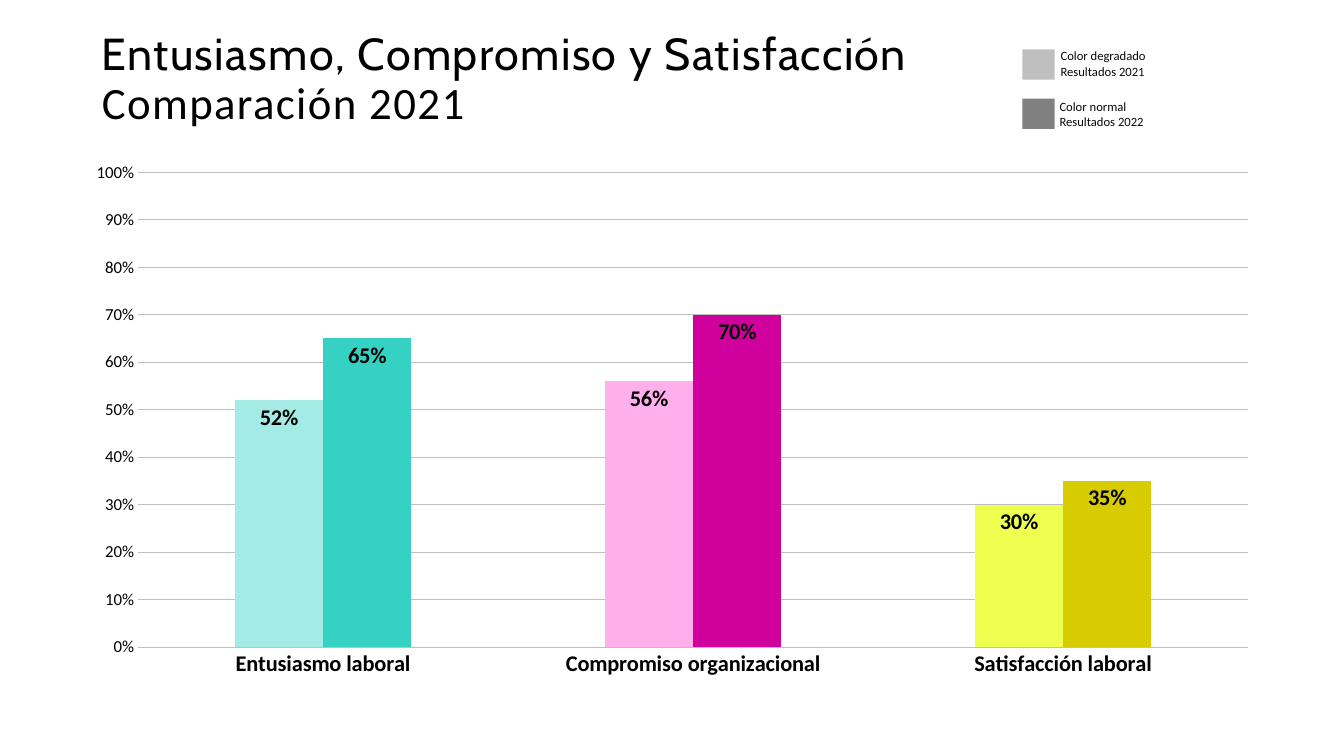
from typing import NamedTuple

from lxml import etree
from pptx import Presentation
from pptx.chart.data import CategoryChartData
from pptx.dml.color import RGBColor
from pptx.enum.chart import XL_CHART_TYPE, XL_LABEL_POSITION, XL_TICK_MARK
from pptx.enum.shapes import MSO_SHAPE
from pptx.enum.text import MSO_ANCHOR, PP_ALIGN
from pptx.oxml.ns import qn
from pptx.util import Inches, Pt

COLUMN_CLUSTERED = XL_CHART_TYPE.COLUMN_CLUSTERED
INSIDE_END = XL_LABEL_POSITION.INSIDE_END
NO_TICK = XL_TICK_MARK.NONE
RECTANGLE = MSO_SHAPE.RECTANGLE
MIDDLE = MSO_ANCHOR.MIDDLE
LEFT = PP_ALIGN.LEFT

BLACK = RGBColor(0x00, 0x00, 0x00)
INK = RGBColor(0x07, 0x08, 0x0B)
LIGHT_GRAY = RGBColor(0xBF, 0xBF, 0xBF)
DARK_GRAY = RGBColor(0x80, 0x80, 0x80)
TURQUOISE = RGBColor(0x35, 0xD2, 0xC4)
PALE_TURQUOISE = RGBColor(0xA3, 0xEB, 0xE4)
MAGENTA = RGBColor(0xCF, 0x00, 0x9C)
PALE_PINK = RGBColor(0xFF, 0xAF, 0xEC)
MUSTARD = RGBColor(0xD6, 0xCC, 0x00)
LEMON = RGBColor(0xEE, 0xFF, 0x4F)
LIME = RGBColor(0xC3, 0xD6, 0x00)

BODY_FONT = "Calibri"
TITLE_FORMAT = {"size": Pt(32), "bold": False}
LEGEND_FORMAT = {"name": BODY_FONT, "size": Pt(9)}
CHART_FORMAT = {"name": BODY_FONT, "size": Pt(10)}
VALUE_FORMAT = {"name": BODY_FONT, "size": Pt(12), "bold": False}
STRONG_FORMAT = {"name": BODY_FONT, "size": Pt(16), "bold": True}


class Box(NamedTuple):
    left: float
    top: float
    width: float
    height: float

    def lengths(self) -> list:
        return [Inches(value) for value in self]


class LegendEntry(NamedTuple):
    swatch: Box
    label: Box
    color: RGBColor
    lines: tuple


class YearSeries(NamedTuple):
    name: str
    color: RGBColor
    values: tuple
    point_colors: tuple


TITLE_BOX = Box(1.01, 0.27, 8.56, 1.06)
CHART_BOX = Box(0.72, 1.5, 11.9, 5.34)
PLOT_BOX = Box(1.37, 1.71, 11.01, 4.71)
TITLE_LINES = (
    ("Entusiasmo, Compromiso y Satisfacción", "Cabin"),
    ("Comparación 2021", BODY_FONT),
)
LEGEND = (
    LegendEntry(Box(10.14, 0.49, 0.32, 0.3), Box(10.42, 0.43, 2.22, 0.4),
                LIGHT_GRAY, ("Color degradado", "Resultados 2021")),
    LegendEntry(Box(10.14, 0.98, 0.32, 0.3), Box(10.41, 0.93, 2.69, 0.4),
                DARK_GRAY, ("Color normal", "Resultados 2022")),
)
CATEGORIES = ("Entusiasmo laboral", "Compromiso organizacional", "Satisfacción laboral")
SERIES = (
    YearSeries("Series 1", TURQUOISE, (0.52, 0.56, 0.3), (PALE_TURQUOISE, PALE_PINK, LEMON)),
    YearSeries("Series 2", LIME, (0.65, 0.7, 0.35), (TURQUOISE, MAGENTA, MUSTARD)),
)


def set_all(target, values: dict) -> None:
    for name, value in values.items():
        setattr(target, name, value)


def set_font(font, values: dict, color: RGBColor = BLACK) -> None:
    set_all(font, values)
    font.color.rgb = color


def set_fill(target, color: RGBColor) -> None:
    target.fill.solid()
    target.fill.fore_color.rgb = color


def set_line(line, color: RGBColor, points: float) -> None:
    line.color.rgb = color
    line.width = Pt(points)


def fill_title(title) -> None:
    title.left, title.top, title.width, title.height = TITLE_BOX.lengths()
    frame = title.text_frame
    set_all(frame, {"margin_left": 0, "margin_top": 0, "margin_right": 0,
                    "margin_bottom": 0, "word_wrap": True, "vertical_anchor": MIDDLE})
    paragraph = frame.paragraphs[0]
    set_all(paragraph, {"alignment": LEFT, "line_spacing": 0.9})
    for index, (text, font_name) in enumerate(TITLE_LINES):
        if index:
            paragraph.add_line_break()
        run = paragraph.add_run()
        run.text = text
        set_font(run.font, TITLE_FORMAT | {"name": font_name})
        run.font._element.set("spc", "100")


def add_legend_entry(slide, entry: LegendEntry) -> None:
    swatch = slide.shapes.add_shape(RECTANGLE, *entry.swatch.lengths())
    swatch.shadow.inherit = False
    set_fill(swatch, entry.color)
    swatch.line.fill.background()
    frame = slide.shapes.add_textbox(*entry.label.lengths()).text_frame
    frame.word_wrap = True
    for index, text in enumerate(entry.lines):
        paragraph = frame.add_paragraph() if index else frame.paragraphs[0]
        run = paragraph.add_run()
        run.text = text
        set_font(run.font, LEGEND_FORMAT, INK)


def place_plot(chart) -> None:
    """Fix the inner plot area at PLOT_BOX, as fractions of the chart."""
    plot_area = chart._chartSpace.chart.plotArea
    for old_layout in plot_area.findall(qn("c:layout")):
        plot_area.remove(old_layout)
    layout = etree.Element(qn("c:layout"))
    manual = etree.SubElement(layout, qn("c:manualLayout"))
    settings = {
        "layoutTarget": "inner", "xMode": "edge", "yMode": "edge",
        "x": (PLOT_BOX.left - CHART_BOX.left) / CHART_BOX.width,
        "y": (PLOT_BOX.top - CHART_BOX.top) / CHART_BOX.height,
        "w": PLOT_BOX.width / CHART_BOX.width,
        "h": PLOT_BOX.height / CHART_BOX.height,
    }
    for name, value in settings.items():
        etree.SubElement(manual, qn(f"c:{name}")).set("val", str(value))
    plot_area.insert(0, layout)


def format_series(series, year: YearSeries) -> None:
    set_fill(series.format, year.color)
    for index, color in enumerate(year.point_colors):
        set_fill(series.points[index].format, color)
    labels = series.data_labels
    set_all(labels, {"show_value": True, "position": INSIDE_END,
                     "number_format": "0%", "number_format_is_linked": False})
    set_font(labels.font, STRONG_FORMAT)


def add_results_chart(slide) -> None:
    data = CategoryChartData(number_format="0%")
    data.categories = CATEGORIES
    for year in SERIES:
        data.add_series(year.name, year.values)
    chart = slide.shapes.add_chart(COLUMN_CLUSTERED, *CHART_BOX.lengths(), data).chart
    set_all(chart, {"has_legend": False, "has_title": False})
    set_font(chart.font, CHART_FORMAT)
    plot = chart.plots[0]
    set_all(plot, {"gap_width": 219, "overlap": 0, "vary_by_categories": False})
    for series, year in zip(plot.series, SERIES):
        format_series(series, year)

    ticks = {"major_tick_mark": NO_TICK, "minor_tick_mark": NO_TICK}
    category_axis, value_axis = chart.category_axis, chart.value_axis
    set_all(category_axis, ticks)
    set_font(category_axis.tick_labels.font, STRONG_FORMAT)
    set_line(category_axis.format.line, LIGHT_GRAY, 0.75)
    set_all(value_axis, ticks | {"minimum_scale": 0, "maximum_scale": 1, "major_unit": 0.1,
                                 "has_major_gridlines": True})
    set_all(value_axis.tick_labels, {"number_format": "0%", "number_format_is_linked": False})
    set_font(value_axis.tick_labels.font, VALUE_FORMAT)
    value_axis.format.line.fill.background()
    set_line(value_axis.major_gridlines.format.line, LIGHT_GRAY, 0.5)
    place_plot(chart)


def main() -> None:
    presentation = Presentation()
    presentation.slide_width = Inches(13.33)
    presentation.slide_height = Inches(7.5)
    slide = presentation.slides.add_slide(presentation.slide_layouts[5])
    fill_title(slide.shapes.title)
    for entry in LEGEND:
        add_legend_entry(slide, entry)
    add_results_chart(slide)
    presentation.save("out.pptx")


if __name__ == "__main__":
    main()
